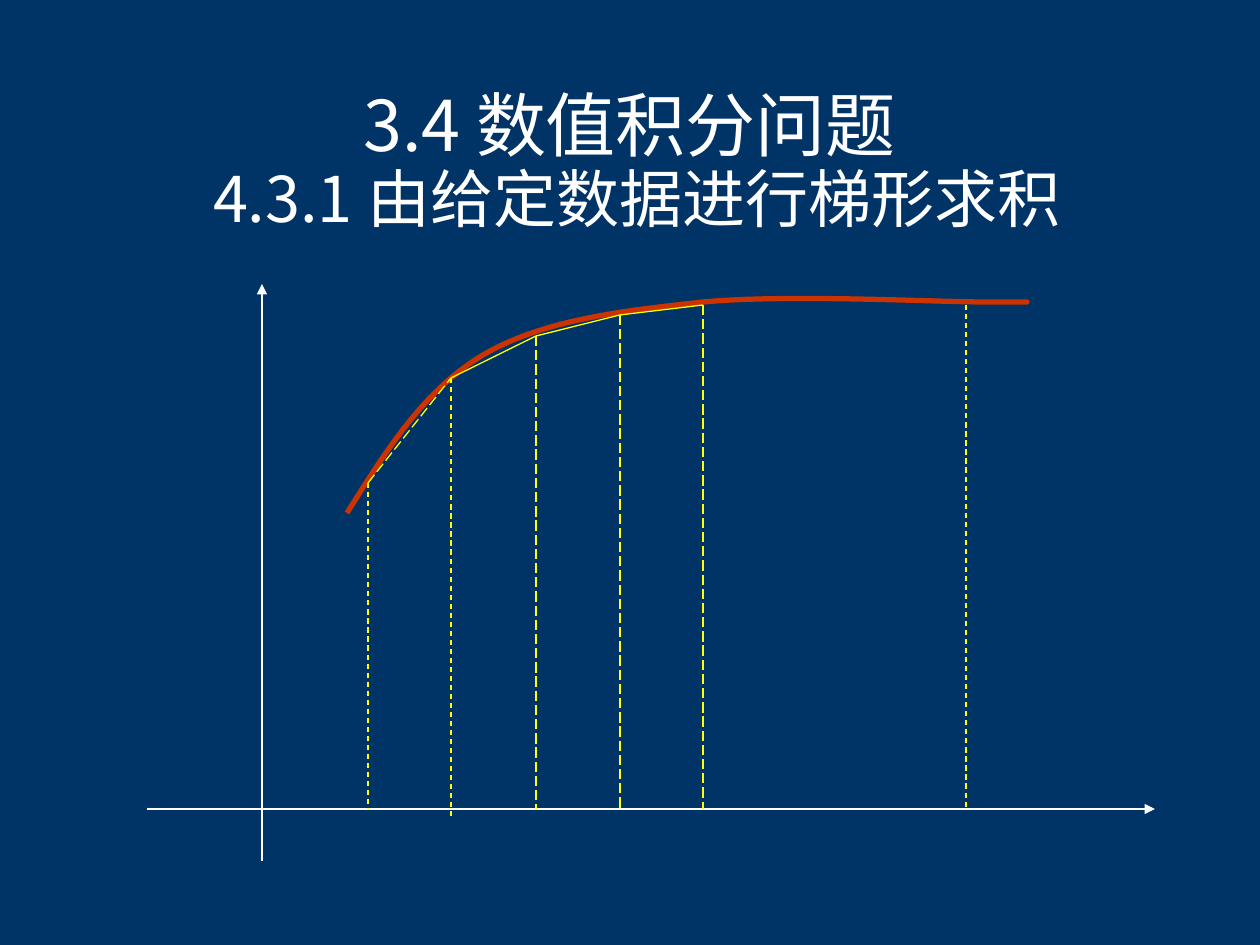
from dataclasses import dataclass

from lxml import etree
from pptx import Presentation
from pptx import util as u
from pptx.dml.color import RGBColor
from pptx.enum import dml, shapes, text
from pptx.oxml.ns import qn

PX = 914400 // 126  # one px in EMU


@dataclass(frozen=True)
class Theme:
    back: str = "003366"
    ink: str = "FFFFFF"
    curve: str = "CC3300"
    chord: str = "FFFF00"
    face: str = "Noto Sans CJK SC"
    head: int = 40
    sub: int = 36
    thin: float = 0.75
    bold: int = 3


T = Theme()
DASH = dml.MSO_LINE.DASH
LONG = dml.MSO_LINE.LONG_DASH
AXIS = 809  # height of the x axis

# Samples on the curve: x, y, foot of the ordinate, ordinate dash
SAMPLES = [
    (368, 483, AXIS, DASH),
    (451, 378, 819, DASH),
    (536, 336, AXIS, LONG),
    (620, 315, AXIS, LONG),
    (703, 305, AXIS, LONG),
]
END = (966, 305)

# Start point, then three points for each Bezier piece
CURVE = [
    (347, 513),
    (386, 451), (423, 391), (483, 355),
    (543, 320), (620, 311), (703, 302),
    (788, 294), (935, 302), (987, 302),
    (1040, 302), (1029, 302), (1018, 302),
]


def px(*vals):
    return [v * PX for v in vals]


def stroke(line, color, width, dash=None):
    line.color.rgb = RGBColor.from_string(color)
    line.width = u.Pt(width)
    if dash:
        line.dash_style = dash


def add_title(slide, rows):
    """Fill the title with rows of (text, size), parted by line breaks."""
    box = slide.shapes.title
    box.left, box.top, box.width, box.height = px(94, 84, 1071, 158)
    frame = box.text_frame
    frame.word_wrap = True
    frame.auto_size = text.MSO_AUTO_SIZE.NONE
    frame.vertical_anchor = text.MSO_ANCHOR.MIDDLE
    para = frame.paragraphs[0]
    para.alignment = text.PP_ALIGN.CENTER
    para.line_spacing = 0.92
    para.font.name = T.face
    para.font.color.rgb = RGBColor.from_string(T.ink)
    for i, (words, size) in enumerate(rows):
        if i:
            para.add_line_break()
        run = para.add_run()
        run.text = words
        run.font.size = u.Pt(size)
        east = etree.SubElement(run.font._element, qn("a:ea"))
        east.set("typeface", T.face)


def add_line(slide, start, end, color, dash=None, arrow=False):
    link = slide.shapes.add_connector(
        shapes.MSO_CONNECTOR.STRAIGHT, *px(*start, *end))
    stroke(link.line, color, T.thin, dash)
    if arrow:
        tip = etree.SubElement(link.line._get_or_add_ln(), qn("a:tailEnd"))
        tip.set("type", "triangle")
    etree.SubElement(link._element.spPr, qn("a:effectLst"))


def add_curve(slide, points):
    """Draw a freeform whose line steps are joined by threes into Beziers."""
    pen = slide.shapes.build_freeform(*points[0], scale=PX)
    pen.add_line_segments(points[1:], close=False)
    shape = pen.convert_to_shape()
    shape.shadow.inherit = False
    shape.fill.background()
    stroke(shape.line, T.curve, T.bold)
    steps = list(shape._element.iter(qn("a:lnTo")))
    for i in range(0, len(steps), 3):
        bend = etree.Element(qn("a:cubicBezTo"))
        steps[i].addprevious(bend)
        for step in steps[i:i + 3]:
            bend.append(step[0])
            step.getparent().remove(step)


def main():
    deck = Presentation()
    deck.slide_width, deck.slide_height = px(1260, 945)
    slide = deck.slides.add_slide(deck.slide_layouts[5])
    fill = slide.background.fill
    fill.solid()
    fill.fore_color.rgb = RGBColor.from_string(T.back)

    add_title(slide, [("3.4 数值积分问题", T.head),
                      (" 4.3.1 由给定数据进行梯形求积", T.sub)])
    add_line(slide, (147, AXIS), (1155, AXIS), T.ink, arrow=True)
    add_line(slide, (262, 861), (262, 284), T.ink, arrow=True)
    add_curve(slide, CURVE)
    for x, y, foot, dash in SAMPLES:
        add_line(slide, (x, y), (x, foot), T.chord, dash)
    add_line(slide, END, (END[0], AXIS), T.chord, DASH)
    for i, (a, b) in enumerate(zip(SAMPLES, SAMPLES[1:])):
        add_line(slide, a[:2], b[:2], T.chord, None if i else LONG)
    deck.save("out.pptx")


if __name__ == "__main__":
    main()
